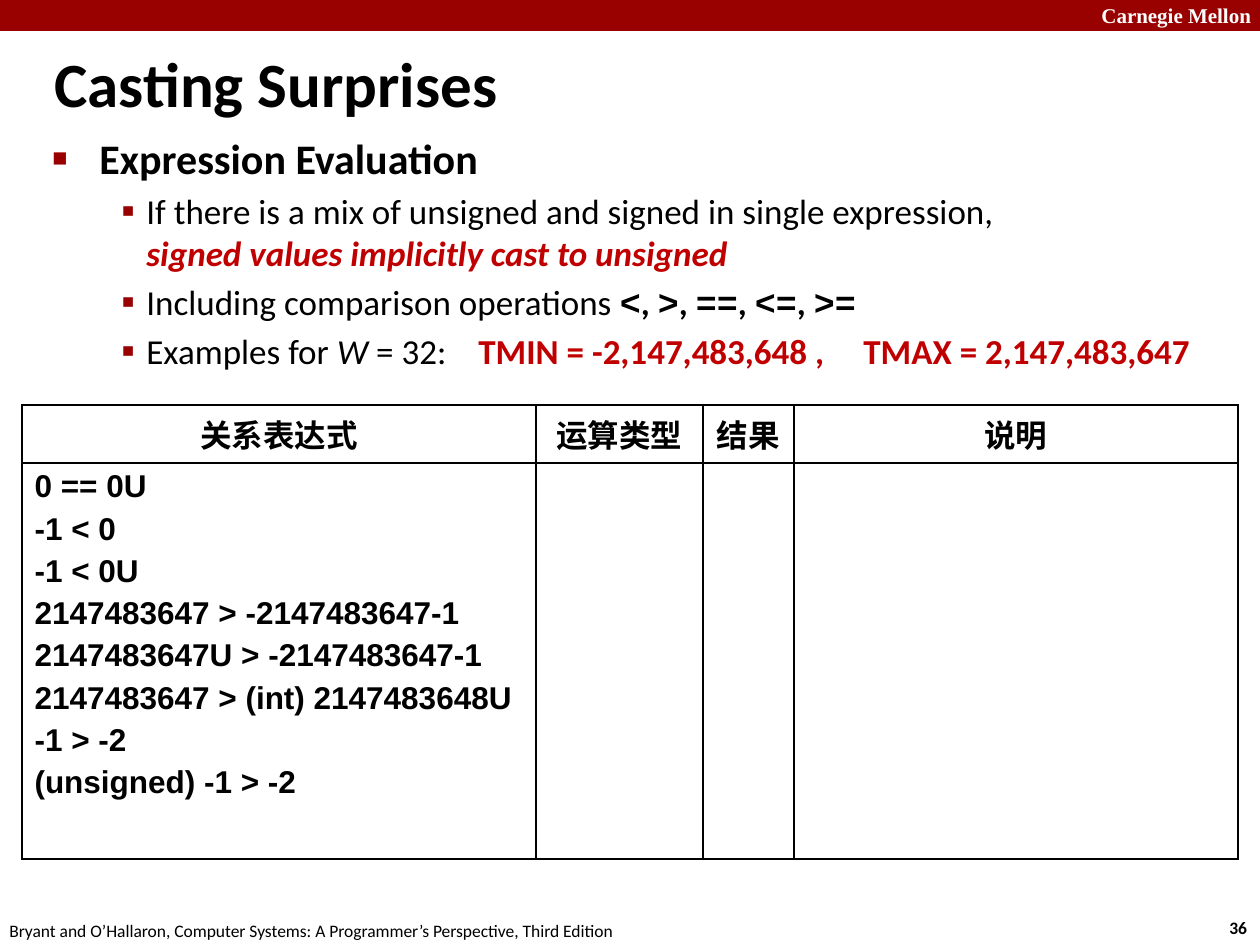
import pptx
import pptx.dml.color
import pptx.enum.shapes
import pptx.enum.text
import pptx.oxml
import pptx.oxml.ns
import pptx.util

PX = 914400 / 126
ANCHOR = pptx.enum.text.MSO_ANCHOR
ALIGN = pptx.enum.text.PP_ALIGN


class Theme:
    red = "990000"
    accent = "C00000"
    ink = "000000"
    paper = "FFFFFF"
    body = "Calibri"
    code = "Courier New"
    table = "Arial"
    brand = "Times New Roman"
    title_size = 36
    head_size = 24
    item_size = 20
    table_size = 18
    brand_size = 12
    small_size = 10


def px(n):
    return pptx.util.Emu(round(n * PX))


def rgb(value):
    return pptx.dml.color.RGBColor.from_string(value)


def style(font, size, name=Theme.body, color=Theme.ink, bold=False, italic=False):
    font.size = pptx.util.Pt(size)
    font.name = name
    font.color.rgb = rgb(color)
    font.bold = bold
    font.italic = italic


def add_xml(parent, xml):
    ns = pptx.oxml.ns.nsdecls("a")
    parent.append(pptx.oxml.parse_xml(xml.replace(" ", f" {ns} ", 1)))


def add_text(s, box, text="", wrap=True, anchor=ANCHOR.TOP, **font):
    sp = s.shapes.add_textbox(*map(px, box))
    tf = sp.text_frame
    tf.word_wrap = wrap
    tf.vertical_anchor = anchor
    if text:
        tf.text = text
        style(tf.paragraphs[0].runs[0].font, **font)
    return tf


def add_header(s, box):
    x, y, w, h = box
    sp = s.shapes.add_shape(pptx.enum.shapes.MSO_SHAPE.RECTANGLE, *map(px, box))
    sp.shadow.inherit = False
    sp.fill.solid()
    sp.fill.fore_color.rgb = rgb(Theme.red)
    sp.line.fill.background()
    add_text(s, (x + w - 171, y - 4, 180, 38), "Carnegie Mellon",
             size=Theme.brand_size, name=Theme.brand, color=Theme.paper, bold=True)


def add_footer(s, box):
    x, y, w, h = box
    add_text(s, (x + w - 43, y, 47, h), "36", wrap=False,
             size=Theme.small_size, bold=True)
    add_text(s, (x - 3, y + 3, 640, h),
             "Bryant and O’Hallaron, Computer Systems: A Programmer’s Perspective, Third Edition",
             wrap=False, size=Theme.small_size)


def add_bullet(p, char, percent, left, hang, tabs=()):
    pPr = p._p.get_or_add_pPr()
    pPr.set("marL", str(px(left)))
    pPr.set("indent", str(-px(hang)))
    add_xml(pPr, f'<a:buClr ><a:srgbClr val="{Theme.red}"/></a:buClr>')
    add_xml(pPr, f'<a:buSzPct val="{percent * 1000}"/>')
    add_xml(pPr, '<a:buFont typeface="Arial"/>')
    add_xml(pPr, f'<a:buChar char="{char}"/>')
    if tabs:
        stops = "".join(f'<a:tab pos="{px(t)}" algn="l"/>' for t in tabs)
        add_xml(pPr, f"<a:tabLst >{stops}</a:tabLst>")


def add_runs(p, runs):
    for text, font in runs:
        if text == "\n":
            p.add_line_break()
            continue
        r = p.add_run()
        r.text = text
        style(r.font, Theme.item_size, **font)


def add_body(s, box):
    tf = add_text(s, box)
    p = tf.paragraphs[0]
    p.text = "Expression Evaluation"
    add_bullet(p, "■", 60, 47, 47)
    style(p.runs[0].font, Theme.head_size, bold=True)

    strong = dict(color=Theme.accent, bold=True)
    operators = []
    for op in ("<", ">", "==", "<=", ">="):
        if operators:
            operators.append((", ", dict(bold=True)))
        operators.append((op, dict(name=Theme.code, bold=True)))
    items = [
        [("If there is a mix of unsigned and signed in single expression, ", {}),
         ("\n", {}),
         ("signed values implicitly cast to unsigned", dict(strong, italic=True))],
        [("Including comparison operations ", {})] + operators,
        [("Examples for ", {}), ("W", dict(italic=True)), (" = 32:\t", {}),
         ("TMIN = -2,147,483,648 ,\tTMAX = 2,147,483,647", strong)],
    ]
    for runs in items:
        p = tf.add_paragraph()
        p.level = 1
        add_bullet(p, "▪", 110, 94, 25, (332, 426, 717, 811))
        p.space_before = pptx.util.Pt(4)
        add_runs(p, runs)


def add_borders(cell):
    tcPr = cell._tc.get_or_add_tcPr()
    for side in "LRTB":
        add_xml(tcPr, f'<a:ln{side} w="12700"><a:solidFill>'
                      f'<a:srgbClr val="{Theme.ink}"/></a:solidFill></a:ln{side}>')


def add_table(s, box):
    heads = ("关系表达式", "运算类型", "结果", "说明")
    expressions = ("0 == 0U", "-1 < 0", "-1 < 0U", "2147483647 > -2147483647-1",
                   "2147483647U > -2147483647-1", "2147483647 > (int) 2147483648U",
                   "-1 > -2", "(unsigned) -1 > -2")
    table = s.shapes.add_table(2, len(heads), *map(px, box)).table
    table.first_row = False
    table.horz_banding = False
    for col, w in zip(table.columns, (514, 167, 91, 444)):
        col.width = px(w)
    for row, h in zip(table.rows, (58, box[3] - 58)):
        row.height = px(h)
    for cell in table.iter_cells():
        add_borders(cell)
        cell.fill.background()
    for i, head in enumerate(heads):
        p = table.cell(0, i).text_frame.paragraphs[0]
        p.text = head
        p.alignment = ALIGN.CENTER
    tf = table.cell(1, 0).text_frame
    tf.text = "\n".join(expressions)
    for p in tf.paragraphs[1:]:
        p.space_before = pptx.util.Pt(4)
    for cell in table.iter_cells():
        for p in cell.text_frame.paragraphs:
            for r in p.runs:
                style(r.font, Theme.table_size, Theme.table, bold=True)


def main():
    prs = pptx.Presentation()
    prs.slide_width, prs.slide_height = px(1260), px(945)
    s = prs.slides.add_slide(prs.slide_layouts[6])
    add_header(s, (0, 0, 1260, 31))
    add_footer(s, (0, 911, 1260, 34))
    add_text(s, (42, 44, 900, 77), "Casting Surprises", anchor=ANCHOR.MIDDLE,
             size=Theme.title_size, bold=True)
    add_body(s, (40, 126, 1241, 809))
    add_table(s, (22, 405, 1216, 454))
    prs.save("out.pptx")


if __name__ == "__main__":
    main()
